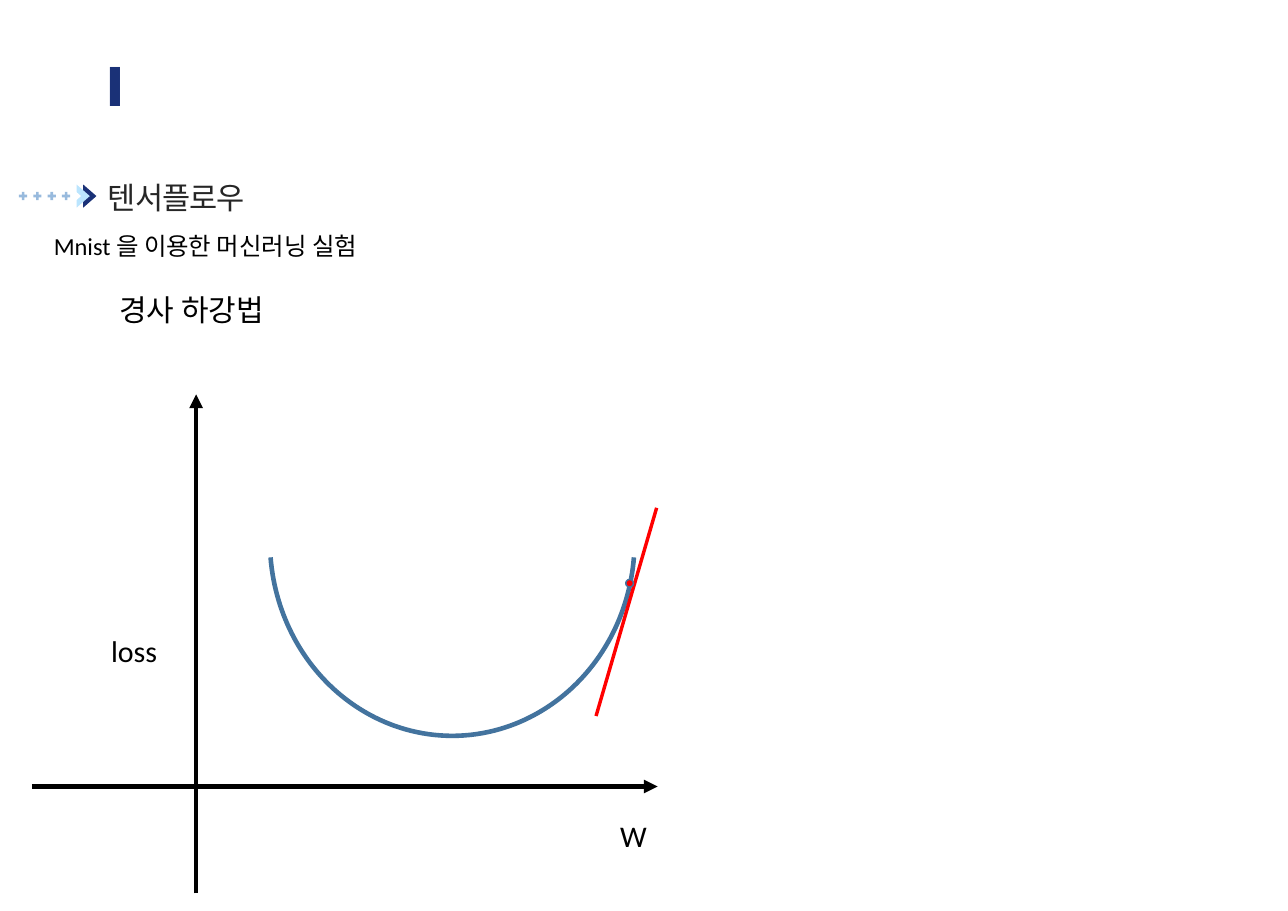
from pptx import Presentation
from pptx.dml.color import RGBColor
from pptx.enum.shapes import MSO_CONNECTOR, MSO_SHAPE
from pptx.enum.text import MSO_ANCHOR, PP_ALIGN
from pptx.oxml.ns import qn
from pptx.util import Inches, Pt

LINE = MSO_CONNECTOR.STRAIGHT
ARC, OVAL = MSO_SHAPE.ARC, MSO_SHAPE.OVAL
PLUS, ARROW = MSO_SHAPE.MATH_PLUS, MSO_SHAPE.ISOSCELES_TRIANGLE
LEFT, CENTER = PP_ALIGN.LEFT, PP_ALIGN.CENTER
TOP = MSO_ANCHOR.TOP

COLORS = {
    "navy": "1A3177", "sky": "BBE5FE", "plus": "98BADD", "white": "FFFFFF",
    "title": "262626", "black": "000000", "curve": "43739E", "red": "FF0000",
}


def color(name):
    return RGBColor.from_string(COLORS[name])


def write(shape, text, size, ink="black", font="Calibri", align=LEFT,
          bold=False, wrap=True, gap=0):
    """Fill a text shape; gap is the letter spacing in points."""
    frame = shape.text_frame
    frame.word_wrap = wrap
    frame.vertical_anchor = TOP
    para = frame.paragraphs[0]
    run = para.add_run()
    run.text = text
    para.alignment = align
    para.font.name = font
    para.font.size = Pt(size)
    para.font.bold = bold
    para.font.color.rgb = color(ink)
    if gap:
        run.font._element.set("spc", str(round(gap * 100)))


def label(slide, box, text, size, **style):
    write(slide.shapes.add_textbox(*map(Inches, box)), text, size, **style)


def draw(slide, kind, box, fill=None, line=None, width=1):
    shape = slide.shapes.add_shape(kind, *map(Inches, box))
    shape.shadow.inherit = False
    if fill:
        shape.fill.solid()
        shape.fill.fore_color.rgb = color(fill)
    else:
        shape.fill.background()
    if line:
        shape.line.color.rgb = color(line)
        shape.line.width = Pt(width)
    else:
        shape.line.fill.background()
    return shape


def stroke(slide, start, end, ink, width, arrow=False):
    link = slide.shapes.add_connector(LINE, *map(Inches, start + end))
    link.line.color.rgb = color(ink)
    link.line.width = Pt(width)
    props = link._element.spPr
    if arrow:
        tail = props.find(qn("a:ln")).makeelement(
            qn("a:tailEnd"), {"type": "triangle"})
        props.find(qn("a:ln")).append(tail)
    props.append(props.makeelement(qn("a:effectLst"), {}))


def heading(slide, left, top):
    """Title with its row of plus signs and double chevron."""
    title = slide.shapes.title
    title.left, title.top = Inches(left + 0.72), Inches(top)
    title.width, title.height = Inches(1.56), Inches(0.44)
    write(title, "텐서플로우", 20, ink="title", font="Arial",
          wrap=False, gap=-0.7)
    for shift, fill in ((0.55, "navy"), (0.49, "sky"), (0.41, "white")):
        tip = draw(slide, ARROW, (left + shift, top + 0.15, 0.21, 0.12), fill)
        tip.rotation = 90
    for i in range(4):
        draw(slide, PLUS, (left + i * 0.13, top + 0.16, 0.1, 0.1), "plus")


def graph(slide, left, top):
    """Loss curve over W, with the tangent at one point."""
    def at(x, y):
        return left + x, top + y

    stroke(slide, at(0, 3.56), at(5.68, 3.56), "black", 3, arrow=True)
    stroke(slide, at(1.49, 4.53), at(1.49, 0), "black", 3, arrow=True)
    label(slide, (*at(0.62, 2.11), 0.7, 0.43), "loss", 19.6)
    label(slide, (*at(5.24, 3.79), 0.54, 0.43), "W", 19.6)

    curve = draw(slide, ARC, (*at(2.16, -0.44), 3.31, 3.54),
                 line="curve", width=3)
    cut = 5.2
    # Arc angles are stored in 1/60000 degree, scaled by 100000
    curve.adjustments[0] = cut * 0.6
    curve.adjustments[1] = (180 - cut) * 0.6

    stroke(slide, at(5.67, 1.03), at(5.12, 2.92), "red", 2.25)
    draw(slide, OVAL, (*at(5.39, 1.68), 0.07, 0.07), "red", "curve")


def main():
    deck = Presentation()
    deck.slide_width, deck.slide_height = Inches(11.69), Inches(8.27)
    slide = deck.slides.add_slide(deck.slide_layouts[5])
    heading(slide, 0.16, 1.57)
    label(slide, (0.71, 0.43, 0.67, 0.69), "Ⅰ", 35, ink="navy", font="Arial",
          align=CENTER, bold=True, wrap=False, gap=-1.5)
    label(slide, (0.39, 2.05, 3.22, 0.37), "Mnist 을 이용한 머신러닝 실험", 16)
    label(slide, (0.43, 2.6, 2.62, 0.43), "경사 하강법", 19.6, align=CENTER)
    graph(slide, 0.29, 3.58)
    deck.save("out.pptx")


if __name__ == "__main__":
    main()
